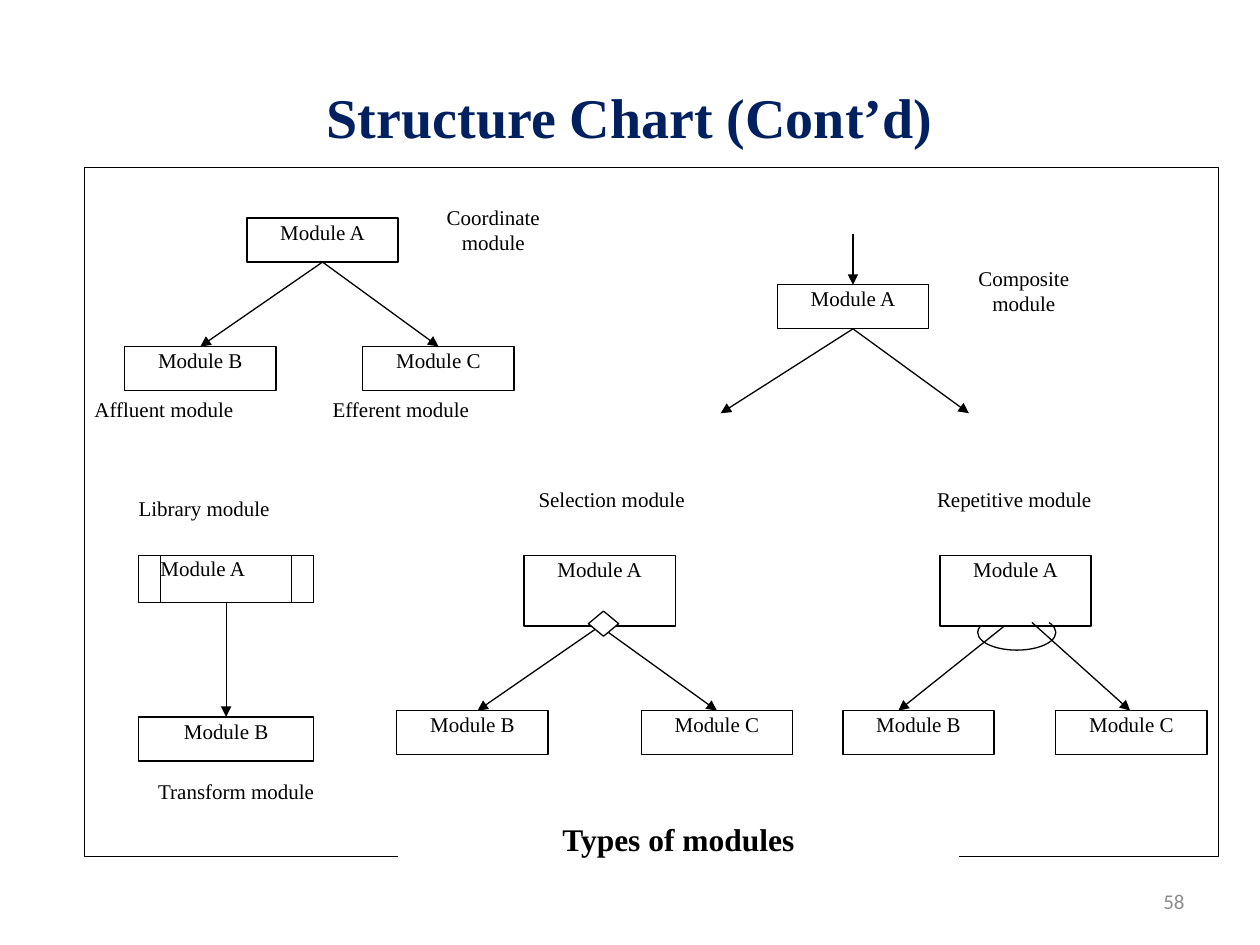
from lxml.etree import SubElement
from pptx import Presentation
from pptx.dml.color import RGBColor
from pptx.enum.shapes import MSO_CONNECTOR, MSO_SHAPE
from pptx.enum.text import MSO_ANCHOR, PP_ALIGN
from pptx.oxml.ns import qn
from pptx.util import Inches, Pt

BLACK, WHITE, NAVY, GREY = "000000", "FFFFFF", "002060", "8C8C8C"
SERIF = "Times New Roman"
LEFT, CENTER, RIGHT = PP_ALIGN.LEFT, PP_ALIGN.CENTER, PP_ALIGN.RIGHT
MODULE_WIDTH, MODULE_HEIGHT, TALL_HEIGHT = 1.2, 0.35, 0.56
LIBRARY_WIDTH = 1.39
MODULE_INSETS = (0.04, 0.01)

# Rows shared by the charts
TOP_ROW, CHILD_ROW = 1.73, 2.75
LOWER_ROW, LOWER_CHILD_ROW = 4.41, 5.64
LABEL_ROW = 3.86

# Module boxes: name -> text, left, top, width, height
MODULES = {
    "coordinate": ("Module A", 1.96, TOP_ROW, MODULE_WIDTH, MODULE_HEIGHT),
    "affluent": ("Module B", 0.99, CHILD_ROW, MODULE_WIDTH, MODULE_HEIGHT),
    "efferent": ("Module C", 2.88, CHILD_ROW, MODULE_WIDTH, MODULE_HEIGHT),
    "composite": ("Module A", 6.17, 2.26, MODULE_WIDTH, MODULE_HEIGHT),
    "library": ("Module A", 1.1, LOWER_ROW, LIBRARY_WIDTH, 0.37),
    "transform": ("Module B", 1.1, 5.69, LIBRARY_WIDTH, MODULE_HEIGHT),
    "selection": ("Module A", 4.16, LOWER_ROW, MODULE_WIDTH, TALL_HEIGHT),
    "selected B": ("Module B", 3.15, LOWER_CHILD_ROW, MODULE_WIDTH, MODULE_HEIGHT),
    "selected C": ("Module C", 5.09, LOWER_CHILD_ROW, MODULE_WIDTH, MODULE_HEIGHT),
    "repetitive": ("Module A", 7.46, LOWER_ROW, MODULE_WIDTH, TALL_HEIGHT),
    "repeated B": ("Module B", 6.69, LOWER_CHILD_ROW, MODULE_WIDTH, MODULE_HEIGHT),
    "repeated C": ("Module C", 8.38, LOWER_CHILD_ROW, MODULE_WIDTH, MODULE_HEIGHT),
}

# Calls from the bottom of one module to the top of another
CALLS = [
    ("coordinate", "affluent"), ("coordinate", "efferent"),
    ("library", "transform"),
]

# Arrows that do not join the middles of two modules
FREE_ARROWS = [
    ((6.77, 1.86), (6.77, 2.26)),
    ((6.77, 2.61), (5.72, 3.28)), ((6.77, 2.61), (7.69, 3.28)),
    ((4.76, 4.97), (3.79, 5.64)), ((4.76, 4.97), (5.69, 5.64)),
    ((7.97, 4.97), (7.13, 5.64)), ((8.19, 4.94), (8.97, 5.64)),
]

# Labels: text, (left, top, width, height), alignment
LABELS = [
    ("Affluent module", (0.75, 3.15, 1.67, 0.4), LEFT),
    ("Efferent module", (2.64, 3.15, 1.64, 0.29), LEFT),
    ("Coordinate module", (3.31, 1.62, 1.21, 0.64), CENTER),
    ("Composite module", (7.52, 2.11, 1.21, 0.64), CENTER),
    ("Library module", (1.1, 3.93, 1.64, 0.29), LEFT),
    ("Transform module", (0.85, 6.18, 2.05, 0.33), CENTER),
    ("Selection module", (3.72, LABEL_ROW, 2.27, 0.36), CENTER),
    ("Repetitive module", (7.01, LABEL_ROW, 2.08, 0.36), CENTER),
]


def color(value):
    return RGBColor.from_string(value)


def write(box, text, size=12, align=CENTER, ink=BLACK, bold=False, font=SERIF,
          insets=(0, 0), anchor=MSO_ANCHOR.TOP):
    frame = box.text_frame
    frame.word_wrap = True
    frame.vertical_anchor = anchor
    frame.margin_left = frame.margin_right = Inches(insets[0])
    frame.margin_top = frame.margin_bottom = Inches(insets[1])
    para = frame.paragraphs[0]
    para.text = text
    para.alignment = align
    para.font.name, para.font.size, para.font.bold = font, Pt(size), bold
    para.font.color.rgb = color(ink)


def add_box(page, area, line=BLACK, fill=WHITE, kind=MSO_SHAPE.RECTANGLE):
    box = page.shapes.add_shape(kind, *map(Inches, area))
    box.shadow.inherit = False
    if fill:
        box.fill.solid()
        box.fill.fore_color.rgb = color(fill)
    else:
        box.fill.background()
    if line:
        box.line.color.rgb = color(line)
        box.line.width = Pt(0.75)
    else:
        box.line.fill.background()
    return box


def add_arrow(page, start, end):
    arrow = page.shapes.add_connector(
        MSO_CONNECTOR.STRAIGHT, *map(Inches, start + end))
    arrow.line.color.rgb = color(BLACK)
    arrow.line.width = Pt(0.75)
    SubElement(arrow.line._get_or_add_ln(), qn("a:tailEnd"), type="triangle")
    SubElement(arrow._element.spPr, qn("a:effectLst"))


def add_text(page, area, text, **style):
    box = page.shapes.add_textbox(*map(Inches, area))
    write(box, text, anchor=MSO_ANCHOR.MIDDLE, insets=(0.1, 0.05), **style)


def main():
    deck = Presentation()
    deck.slide_width, deck.slide_height = Inches(10), Inches(7.5)
    page = deck.slides.add_slide(deck.slide_layouts[6])

    # Title, page number and frame
    add_text(page, (0.5, 0.3, 9, 1.25), "Structure Chart (Cont’d)",
             size=32, ink=NAVY, bold=True)
    add_text(page, (7.17, 6.95, 2.33, 0.4), "58",
             align=RIGHT, ink=GREY, font="Calibri")
    add_box(page, (0.67, 1.33, 9, 5.47), fill=None)

    # Labels and modules
    for text, area, align in LABELS:
        write(add_box(page, area, line=WHITE), text, align=align)
    for name, (text, *area) in MODULES.items():
        if name == "library":
            box = add_box(page, area, kind=MSO_SHAPE.FLOWCHART_PREDEFINED_PROCESS)
            write(box, text, align=LEFT)
        else:
            write(add_box(page, area), text, insets=MODULE_INSETS)

    # Arrows
    for caller, called in CALLS:
        _, left, top, width, height = MODULES[caller]
        _, child_left, child_top, child_width, _ = MODULES[called]
        add_arrow(page, (left + width / 2, top + height),
                  (child_left + child_width / 2, child_top))
    for start, end in FREE_ARROWS:
        add_arrow(page, start, end)

    # Selection diamond and repetition loop
    add_box(page, (4.67, 4.85, 0.24, 0.2), kind=MSO_SHAPE.DIAMOND)
    loop = add_box(page, (7.76, 4.88, 0.62, 0.28), fill=None, kind=MSO_SHAPE.ARC)
    for index, degrees in enumerate((343, 190)):
        loop.adjustments[index] = degrees * 0.6  # 60000 units a degree

    # Caption over the frame's lower edge
    caption = add_box(page, (3.16, 6.51, 4.45, 0.3), line=None)
    write(caption, "Types of modules", size=18, bold=True)

    deck.save("out.pptx")


if __name__ == "__main__":
    main()
